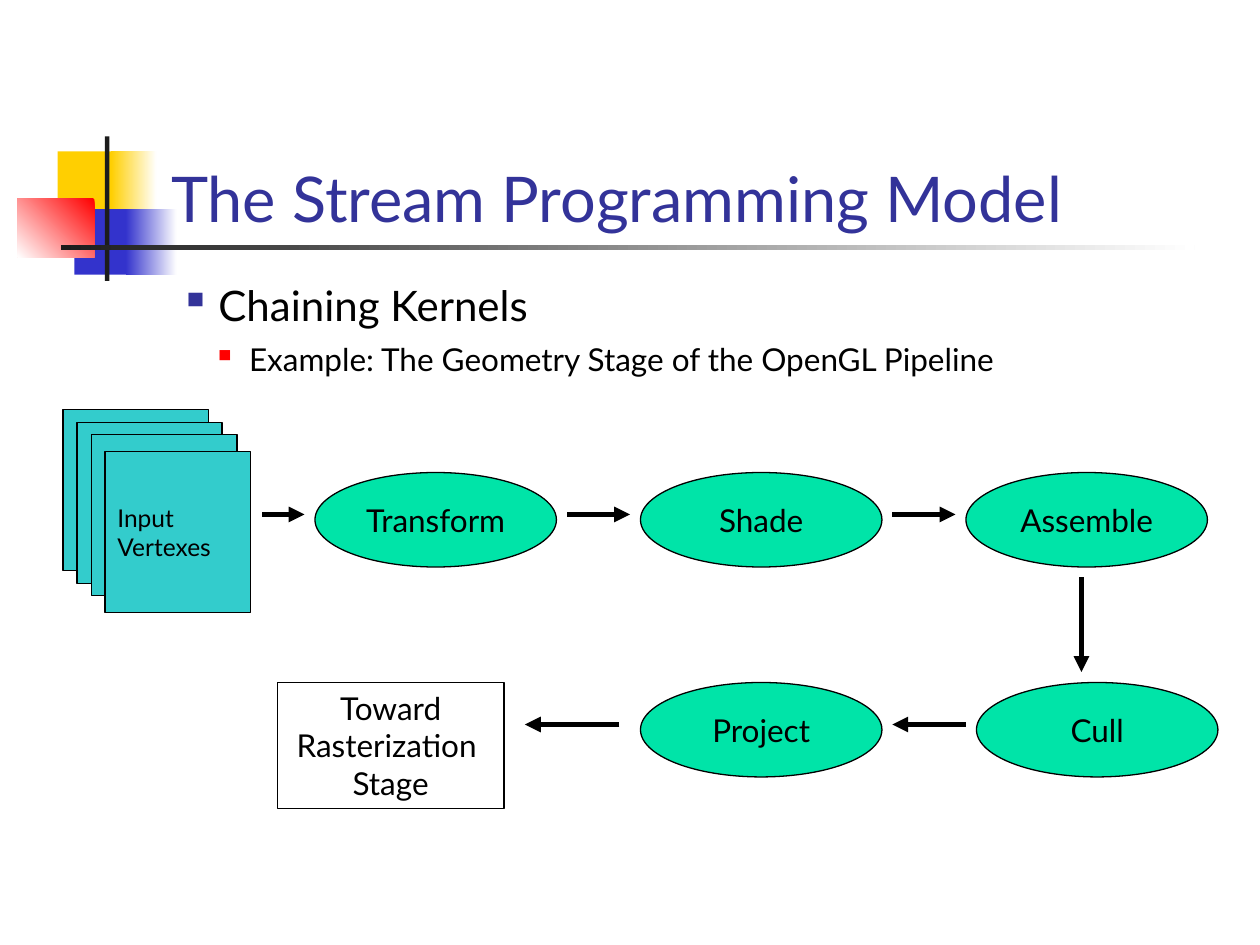
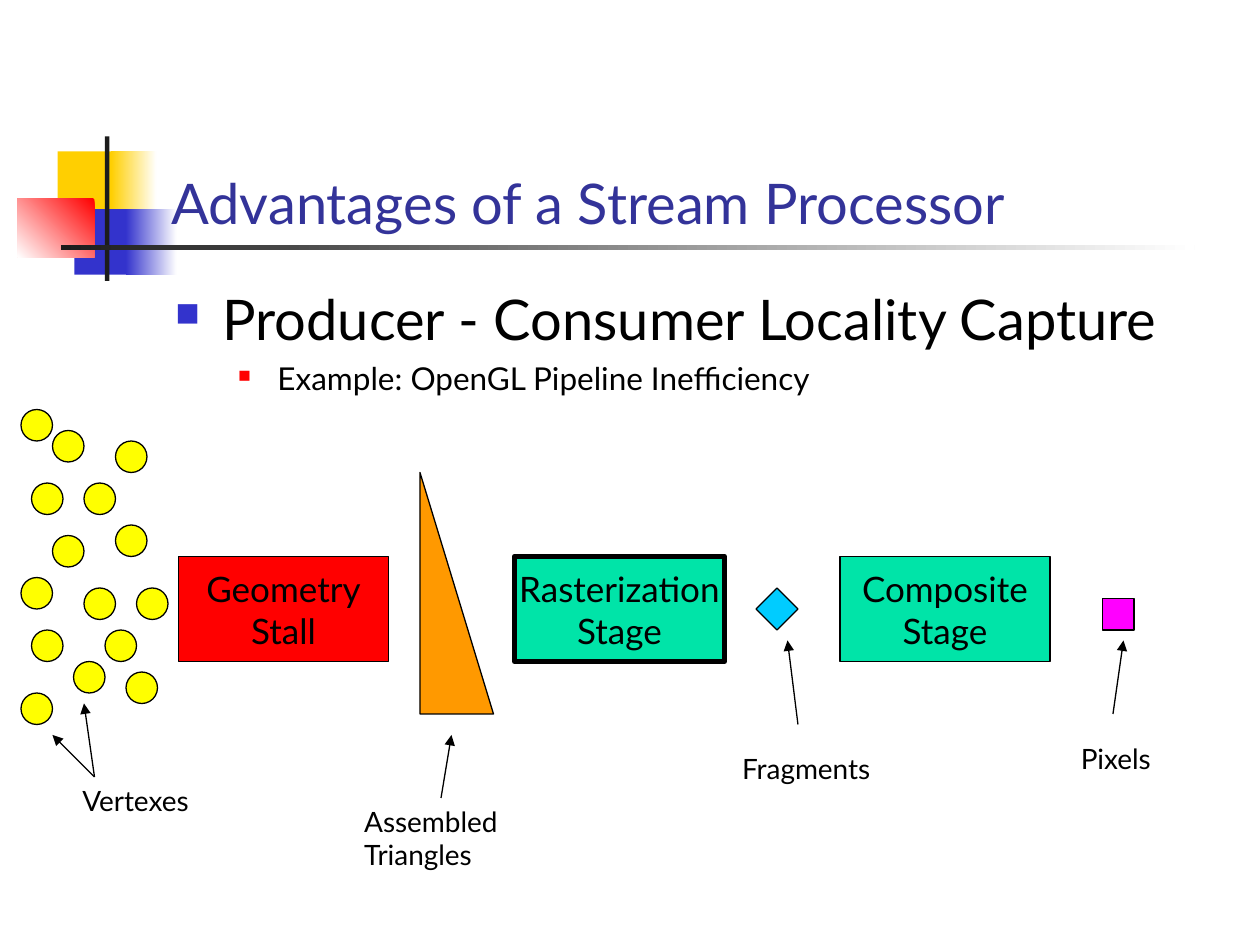
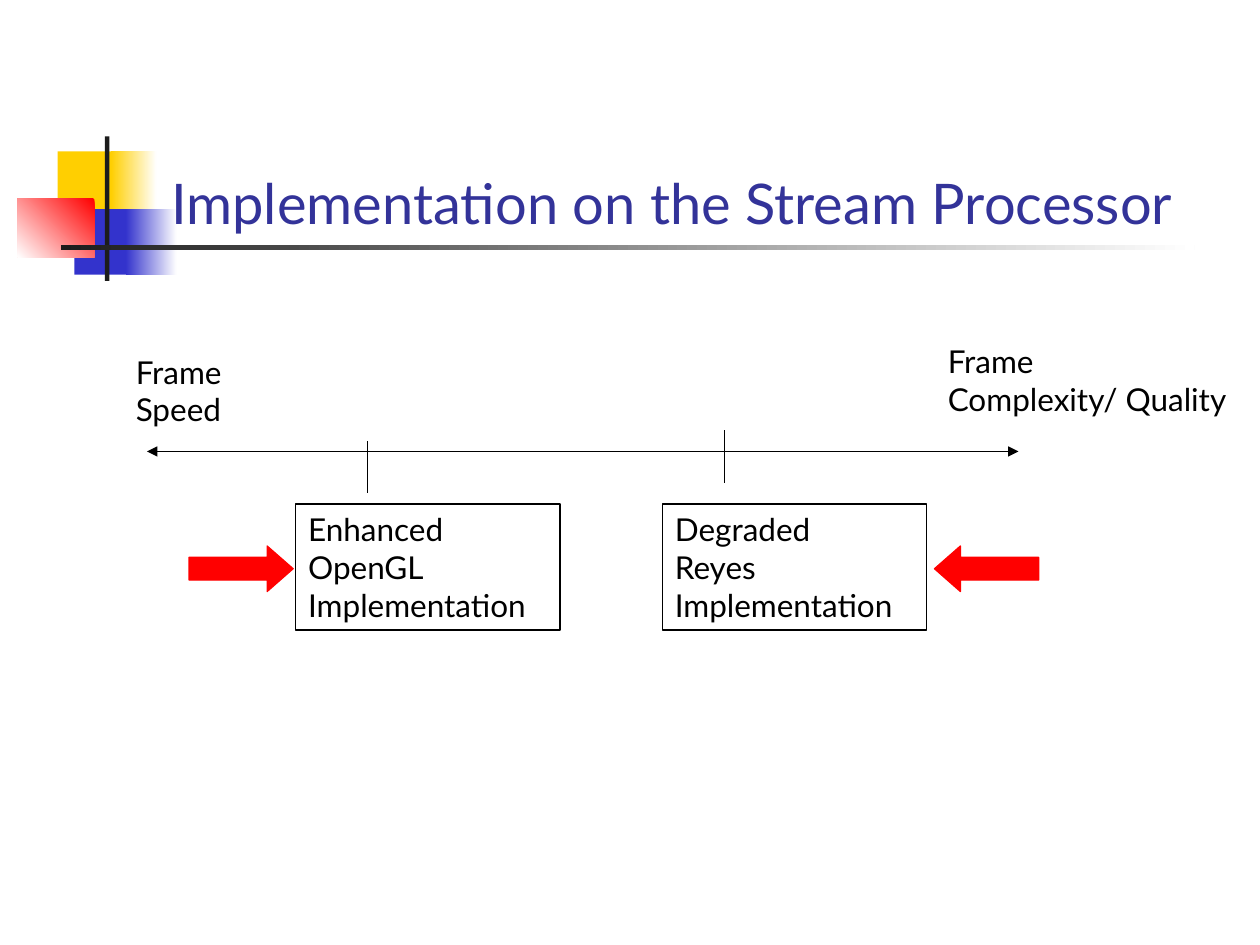
import pptx
import pptx.dml.color
import pptx.enum.shapes
import pptx.enum.text
import pptx.oxml
import pptx.oxml.ns
import pptx.util

Pt = pptx.util.Pt
SHAPE = pptx.enum.shapes.MSO_SHAPE
ALIGN = pptx.enum.text.PP_ALIGN
ANCHOR = pptx.enum.text.MSO_ANCHOR

FONT = "Lato"
BLACK, WHITE, RED, GREEN = "000000", "FFFFFF", "FF0000", "00E4A8"
TITLE, GOLD, BLUE, DARK = "333399", "FFCF01", "3333CC", "1C1C1C"
CYAN, YELLOW, ORANGE, SKY, PINK = "33CCCC", "FFFF00", "FF9900", "00CCFF", "FF00FF"


def rgb(color):
    return pptx.dml.color.RGBColor.from_string(color)


def append_xml(parent, tag, **attrs):
    child = parent.makeelement(pptx.oxml.ns.qn(tag), attrs)
    parent.append(child)
    return child


class Deck:
    def __init__(self):
        self.prs = pptx.Presentation()
        self.prs.slide_width, self.prs.slide_height = Pt(720), Pt(540)
        self.s = None

    def slide(self, title, size):
        self.s = self.prs.slides.add_slide(self.prs.slide_layouts[6])
        self.shape(33, 86.5, 34.5, 37.5, GOLD, line=None)
        self.fade(63.5, 86.5, 26, 37.5, GOLD)
        self.shape(42.5, 119.5, 33, 37.5, BLUE, line=None)
        self.fade(72, 119.5, 29, 37.5, BLUE)
        self.fade(10, 113.5, 44, 33.5, RED, 225)
        self.shape(60, 78, 2.5, 82.5, DARK, line=None)
        self.fade(34.75, 140.25, 648, 2.5, DARK)
        tf = self.textbox(90.75, 48, 613.5, 90, [title], size, TITLE, wrap=True)
        tf.vertical_anchor = ANCHOR.BOTTOM

    def shape(self, x, y, w, h, fill=None, kind=SHAPE.RECTANGLE, line=BLACK, weight=0.75):
        sp = self.s.shapes.add_shape(kind, Pt(x), Pt(y), Pt(w), Pt(h))
        sp.shadow.inherit = False
        if fill:
            sp.fill.solid()
            sp.fill.fore_color.rgb = rgb(fill)
        else:
            sp.fill.background()
        if line:
            sp.line.color.rgb = rgb(line)
            sp.line.width = Pt(weight)
        else:
            sp.line.fill.background()
        return sp

    def fade(self, x, y, w, h, color, angle=0):
        sp = self.shape(x, y, w, h, line=None)
        sp.fill.gradient()
        sp.fill.gradient_angle = angle
        for stop, stop_color in zip(sp.fill.gradient_stops, (color, WHITE)):
            stop.color.rgb = rgb(stop_color)

    def label(self, sp, lines, size=18, align=ALIGN.CENTER, anchor=ANCHOR.MIDDLE):
        sp.text_frame.vertical_anchor = anchor
        self.paragraphs(sp.text_frame, lines, size, align=align)

    def textbox(self, x, y, w, h, lines, size, color=BLACK, wrap=False):
        tf = self.s.shapes.add_textbox(Pt(x), Pt(y), Pt(w), Pt(h)).text_frame
        self.paragraphs(tf, lines, size, color, wrap=wrap)
        return tf

    def paragraphs(self, tf, lines, size, color=BLACK, align=ALIGN.LEFT, wrap=False):
        tf.word_wrap = wrap
        for i, line in enumerate(lines):
            p = tf.add_paragraph() if i else tf.paragraphs[0]
            p.alignment = align
            self.text_run(p, line, size, color)

    def text_run(self, p, text, size, color=BLACK):
        r = p.add_run()
        r.text = text
        r.font.name, r.font.size = FONT, Pt(size)
        r.font.color.rgb = rgb(color)

    def bullets(self, x, y, w, h, items):
        tf = self.s.shapes.add_textbox(Pt(x), Pt(y), Pt(w), Pt(h)).text_frame
        tf.word_wrap = True
        for i, (text, size, mark, color, percent, margin, hang, before) in enumerate(items):
            p = tf.add_paragraph() if i else tf.paragraphs[0]
            p.level = i
            pPr = p._p.get_or_add_pPr()
            pPr.set("marL", str(Pt(margin)))
            pPr.set("indent", str(-Pt(hang)))
            append_xml(append_xml(pPr, "a:buClr"), "a:srgbClr", val=color)
            append_xml(pPr, "a:buSzPct", val=str(percent * 1000))
            append_xml(pPr, "a:buChar", char=mark)
            if before:
                p.space_before = Pt(before)
            self.text_run(p, text, size)

    def line(self, x1, y1, x2, y2, weight=0.75, ends=("a:tailEnd",)):
        straight = pptx.enum.shapes.MSO_CONNECTOR.STRAIGHT
        c = self.s.shapes.add_connector(straight, Pt(x1), Pt(y1), Pt(x2), Pt(y2))
        c.line.color.rgb = rgb(BLACK)
        c.line.width = Pt(weight)
        spPr = c._element.spPr
        for end in ends:
            append_xml(spPr.find(pptx.oxml.ns.qn("a:ln")), end, type="triangle")
        append_xml(spPr, "a:effectLst")


def chaining_kernels(d):
    d.slide("The Stream Programming Model", 36)
    d.bullets(95.75, 156, 594, 65, [
        ("Chaining Kernels", 24, "▪", TITLE, 100, 22, 22, 0),
        ("Example: The Geometry Stage of the OpenGL Pipeline", 18, "▪", RED, 100, 39.5, 20.5, 6)])
    for x, y in ((36, 234), (44, 241.5), (52.5, 248.5), (60, 258)):
        sheet = d.shape(x, y, 83, 92, CYAN)
    d.label(sheet, ["Input", "Vertexes"], 14, ALIGN.LEFT)
    kernels = (("Transform", 180, 270), ("Shade", 366, 270), ("Assemble", 552, 270),
               ("Cull", 558, 390), ("Project", 366, 390))
    for name, x, y in kernels:
        d.label(d.shape(x, y, 138, 54, GREEN, SHAPE.OVAL), [name])
    for ends in ((150, 294, 174, 294), (324, 294, 360, 294), (510, 294, 546, 294),
                 (618, 330, 618, 384), (552, 414, 510, 414), (354, 414, 300, 414)):
        d.line(*ends, weight=3)
    d.label(d.shape(158.5, 390, 129.5, 72), ["Toward", "Rasterization ", "Stage"],
            anchor=ANCHOR.TOP)


def locality_capture(d):
    d.slide("Advantages of a Stream Processor", 32)
    d.bullets(93, 159, 612, 324, [
        ("Producer - Consumer Locality Capture", 32, "■", BLUE, 60, 27, 27, 0),
        ("Example: OpenGL Pipeline Inefficiency", 18, "■", RED, 55, 58.5, 22.5, 4.5)])
    stages = (("Geometry", "Stall", 102, RED, 0.75), ("Rasterization", "Stage", 294, GREEN, 3),
              ("Composite", "Stage", 480, GREEN, 0.75))
    for first, second, x, fill, weight in stages:
        d.label(d.shape(x, 318, 120, 60, fill, weight=weight), [first, second], 20)
    vertexes = ((12, 234), (30, 246), (66, 252), (18, 276), (48, 276), (66, 300), (30, 306),
                (12, 330), (48, 336), (78, 336), (18, 360), (60, 360), (42, 378), (72, 384),
                (12, 396))
    for x, y in vertexes:
        d.shape(x, y, 18, 18, YELLOW, SHAPE.OVAL)
    d.shape(240, 270, 42, 138, ORANGE, SHAPE.RIGHT_TRIANGLE)
    d.shape(432, 336, 24, 24, SKY, SHAPE.DIAMOND)
    d.shape(630, 342, 18, 18, PINK)
    for ends in ((54, 444, 48, 402), (54, 444, 30, 420), (252, 456, 258, 420),
                 (456, 414, 450, 366), (636, 408, 642, 366)):
        d.line(*ends)
    d.textbox(40, 444, 79, 26.5, ["Vertexes"], 16)
    d.textbox(201, 456, 101, 46, ["Assembled", "Triangles"], 16)
    d.textbox(417, 426, 95, 26.5, ["Fragments"], 16)
    d.textbox(610.5, 420, 57, 26.5, ["Pixels"], 16)


def implementation(d):
    d.slide("Implementation on the Stream Processor", 32)
    d.line(84, 258, 582, 258, ends=("a:headEnd", "a:tailEnd"))
    d.textbox(70.5, 198, 73, 50.5, ["Frame", "Speed"], 18)
    d.textbox(534.5, 192, 181, 50.5, ["Frame", "Complexity/ Quality"], 18)
    for x, words in ((169, ("Enhanced", "OpenGL")), (378.5, ("Degraded", "Reyes"))):
        d.label(d.shape(x, 288, 151, 72), [*words, "Implementation"], 18, ALIGN.LEFT, ANCHOR.TOP)
    for x, y in ((210, 252), (414, 246)):
        d.line(x, y, x, y + 30, ends=())
    for x, kind in ((108, SHAPE.RIGHT_ARROW), (534, SHAPE.LEFT_ARROW)):
        arrow = d.shape(x, 312, 59.5, 26, RED, kind, RED)
        arrow.adjustments[0], arrow.adjustments[1] = 0.5, 0.57


def main():
    d = Deck()
    chaining_kernels(d)
    locality_capture(d)
    implementation(d)
    d.prs.save("out.pptx")


if __name__ == "__main__":
    main()
